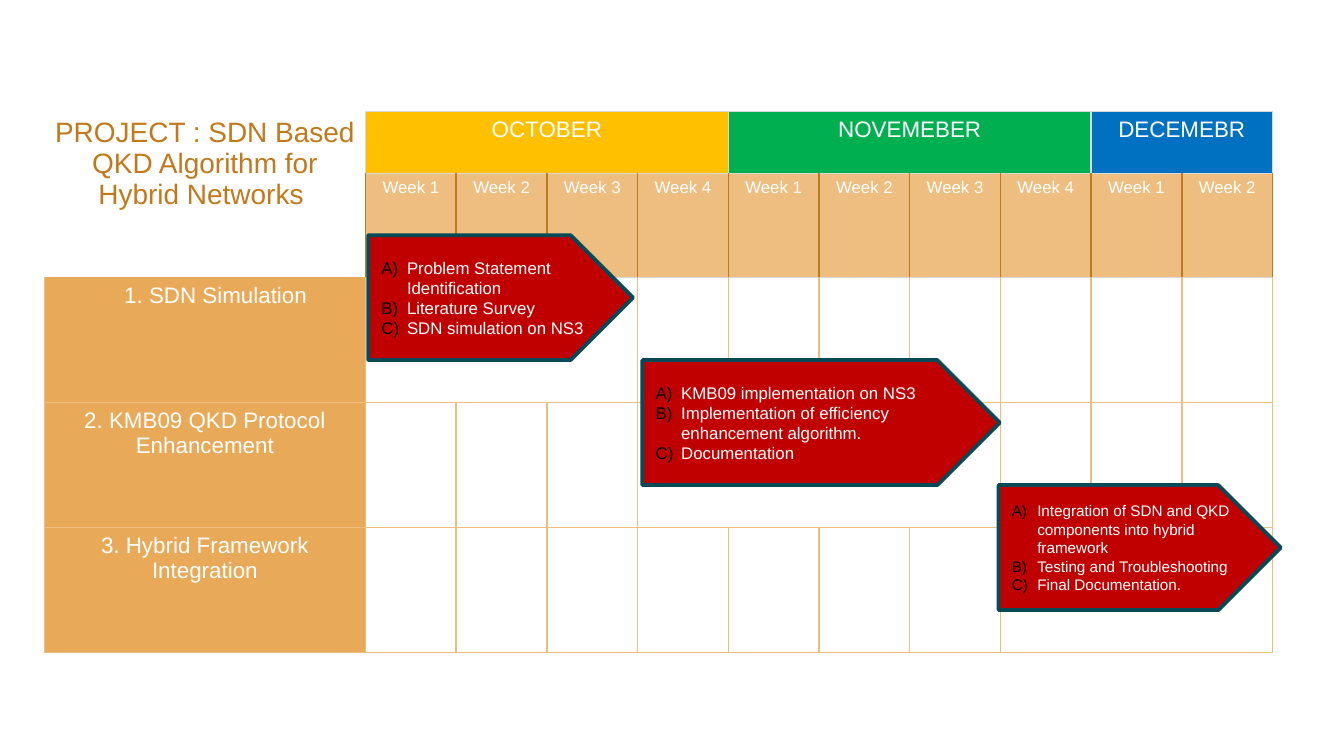
"""Build a project timeline slide: a month and week table with task arrows."""
import lxml.etree
import pptx
import pptx.dml.color
import pptx.enum.shapes
import pptx.enum.text
import pptx.oxml.ns
import pptx.util

Inches, Pt = pptx.util.Inches, pptx.util.Pt
qn = pptx.oxml.ns.qn

TITLE = "PROJECT : SDN Based QKD Algorithm for Hybrid Networks "
MONTHS = [("OCTOBER", 4, "FFC000"), ("NOVEMEBER", 4, "00B050"), ("DECEMEBR", 2, "0070C0")]
TASKS = ["1. SDN Simulation", "2. KMB09 QKD Protocol Enhancement", "3. Hybrid Framework Integration"]
MERGES = [(0, 0, 1, 0), (2, 1, 2, 3), (3, 4, 3, 7), (4, 8, 4, 10)]
ARROWS = [
    {"left": 2.74, "width": 1.97, "size": 9,
     "steps": ["Problem Statement Identification", "Literature Survey", "SDN simulation on NS3"]},
    {"left": 4.78, "width": 2.66, "size": 9,
     "steps": ["KMB09 implementation on NS3", "Implementation of efficiency enhancement algorithm.",
               "Documentation"]},
    {"left": 7.43, "width": 2.1, "size": 8.2,
     "steps": ["Integration of SDN and QKD components into hybrid framework",
               "Testing and Troubleshooting", "Final Documentation."]},
]
THEME = {
    "font": "Arial", "white": "FFFFFF", "black": "000000", "title": "C0791B", "task": "E8AA59",
    "week": "EDBE7F", "grid": "EDBE7F", "week_line": "C0791B", "month_line": "D9D9D9",
    "arrow": "C00000", "arrow_line": "084956",
    "title_size": 15, "label_size": 12, "week_size": 9,
}
SLIDE_WIDTH = 10
SLIDE_HEIGHT = SLIDE_WIDTH * 9 / 16
TABLE_LEFT, TABLE_TOP = 0.33, 0.83
LABEL_WIDTH, WEEKS_WIDTH = 2.39, 6.75
ROW_HEIGHTS = [0.46, 0.77, 0.93, 0.93, 0.93]
ARROW_TOP, ARROW_HEIGHT = 1.75, 0.93


def rgb(value):
    return pptx.dml.color.RGBColor.from_string(value)


def set_font(paragraph, size, color):
    paragraph.font.name = THEME["font"]
    paragraph.font.size = Pt(size)
    paragraph.font.color.rgb = rgb(color)


def set_borders(cell, colors):
    properties = cell._tc.get_or_add_tcPr()
    for side in "LRTB":
        line = lxml.etree.SubElement(properties, qn(f"a:ln{side}"), w=str(Pt(1)))
        if side in colors:
            solid = lxml.etree.SubElement(line, qn("a:solidFill"))
            lxml.etree.SubElement(solid, qn("a:srgbClr"), val=colors[side])
        else:
            lxml.etree.SubElement(line, qn("a:noFill"))


def border_colors(row, column):
    gray, grid = THEME["month_line"], THEME["grid"]
    if column == 0 and row < 2:
        return {"R": gray}
    if row == 0:
        return dict.fromkeys("LRTB", gray)
    if row == 1:
        return {"L": THEME["week_line"], "R": THEME["week_line"], "T": gray, "B": gray}
    colors = dict.fromkeys("LRTB", grid)
    if row == 2:
        if column == 0:
            del colors["T"]
        else:
            colors["T"] = gray
    return colors


def fill_cell(cell, fill, text="", size=THEME["label_size"], color=THEME["white"]):
    cell.fill.solid()
    cell.fill.fore_color.rgb = rgb(fill)
    if text:
        cell.text = text
        paragraph = cell.text_frame.paragraphs[0]
        paragraph.alignment = pptx.enum.text.PP_ALIGN.CENTER
        set_font(paragraph, size, color)


def add_schedule(slide):
    week_count = sum(span for _, span, _ in MONTHS)
    table = slide.shapes.add_table(
        len(ROW_HEIGHTS), week_count + 1, Inches(TABLE_LEFT), Inches(TABLE_TOP),
        Inches(LABEL_WIDTH + WEEKS_WIDTH), Inches(sum(ROW_HEIGHTS))).table
    table.first_row = table.horz_banding = False
    for index, column in enumerate(table.columns):
        column.width = Inches(WEEKS_WIDTH / week_count if index else LABEL_WIDTH)
    for row, height in zip(table.rows, ROW_HEIGHTS):
        row.height = Inches(height)
    for row in range(len(ROW_HEIGHTS)):
        for column in range(week_count + 1):
            cell = table.cell(row, column)
            cell.margin_left = cell.margin_right = Inches(0.07)
            cell.margin_top = cell.margin_bottom = Inches(0.04)
            set_borders(cell, border_colors(row, column))
            fill_cell(cell, THEME["white"])
    fill_cell(table.cell(0, 0), THEME["white"], TITLE, THEME["title_size"], THEME["title"])
    start = 1
    for month, span, color in MONTHS:
        fill_cell(table.cell(0, start), color, month)
        table.cell(0, start).merge(table.cell(0, start + span - 1))
        for week in range(span):
            fill_cell(table.cell(1, start + week), THEME["week"], f"Week {week + 1}", THEME["week_size"])
        start += span
    for row, task in enumerate(TASKS, 2):
        fill_cell(table.cell(row, 0), THEME["task"], task)
    first_task = table.cell(2, 0).text_frame.paragraphs[0]
    first_task._p.get_or_add_pPr().set("marL", str(Inches(0.16)))
    for top, left, bottom, right in MERGES:
        table.cell(top, left).merge(table.cell(bottom, right))


def add_letter(paragraph):
    properties = paragraph._p.get_or_add_pPr()
    properties.set("marL", str(Inches(0.19)))
    properties.set("indent", str(-Inches(0.19)))
    bullet_color = lxml.etree.Element(qn("a:buClr"))
    lxml.etree.SubElement(bullet_color, qn("a:srgbClr"), val=THEME["black"])
    numbering = lxml.etree.Element(qn("a:buAutoNum"), type="alphaUcParenR")
    properties.insert(0, bullet_color)
    properties.insert(1, numbering)


def add_arrow(slide, arrow, top):
    shape = slide.shapes.add_shape(
        pptx.enum.shapes.MSO_SHAPE.PENTAGON, Inches(arrow["left"]), Inches(top),
        Inches(arrow["width"]), Inches(ARROW_HEIGHT))
    shape.shadow.inherit = False
    shape.fill.solid()
    shape.fill.fore_color.rgb = rgb(THEME["arrow"])
    shape.line.color.rgb = rgb(THEME["arrow_line"])
    shape.line.width = Pt(2)
    frame = shape.text_frame
    frame.word_wrap = True
    frame.vertical_anchor = pptx.enum.text.MSO_ANCHOR.MIDDLE
    for index, step in enumerate(arrow["steps"]):
        paragraph = frame.add_paragraph() if index else frame.paragraphs[0]
        paragraph.text = step
        paragraph.alignment = pptx.enum.text.PP_ALIGN.LEFT
        set_font(paragraph, arrow["size"], THEME["white"])
        add_letter(paragraph)


def main():
    presentation = pptx.Presentation()
    presentation.slide_width = Inches(SLIDE_WIDTH)
    presentation.slide_height = Inches(SLIDE_HEIGHT)
    slide = presentation.slides.add_slide(presentation.slide_layouts[6])
    add_schedule(slide)
    for index, arrow in enumerate(ARROWS):
        add_arrow(slide, arrow, ARROW_TOP + index * ARROW_HEIGHT)
    presentation.save("out.pptx")


if __name__ == "__main__":
    main()
